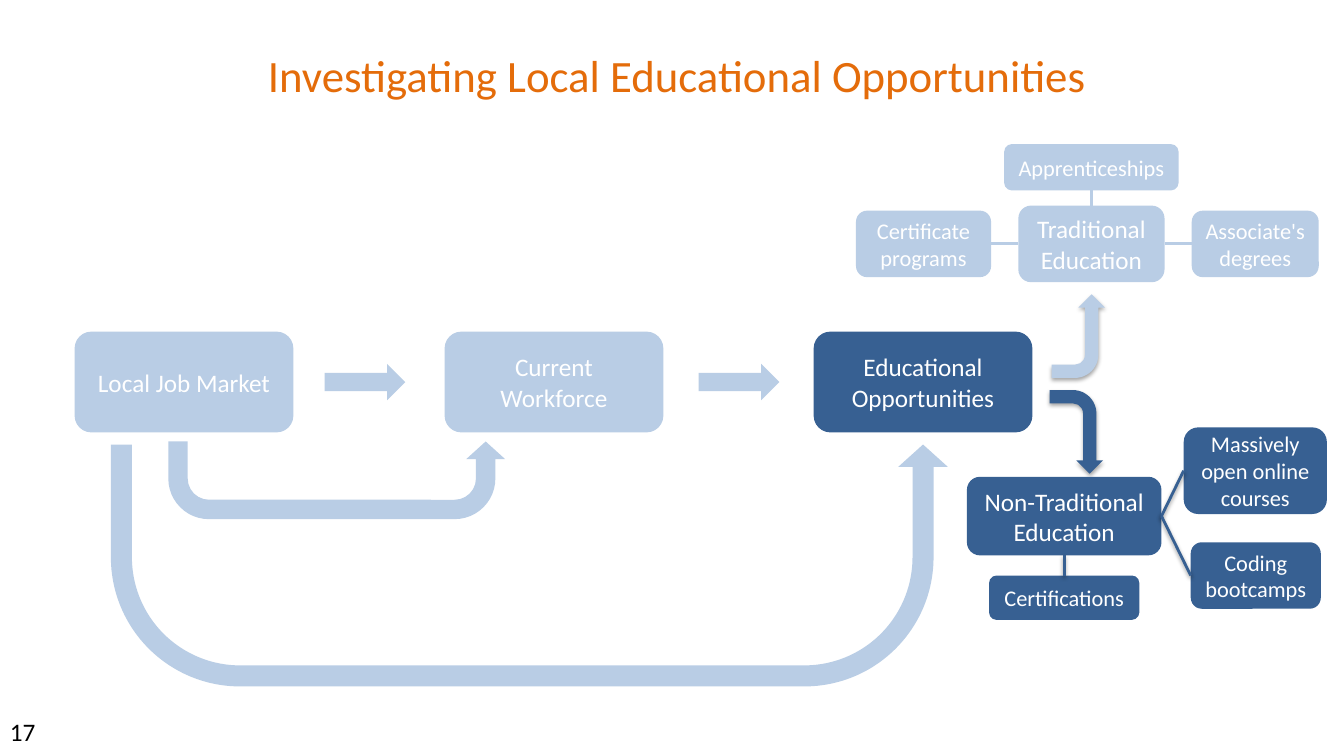
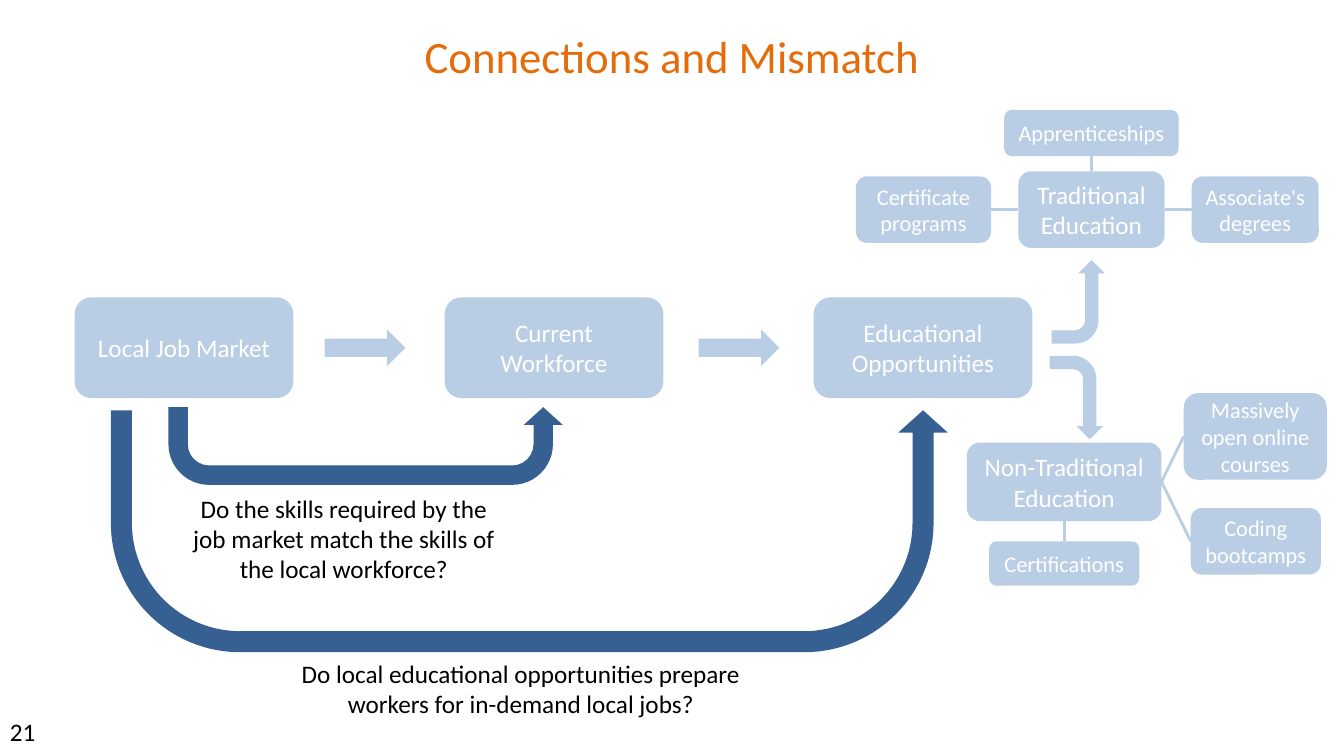
"""Build two slides that map a local job market to educational opportunities."""
from lxml import etree
from pptx import Presentation
from pptx.dml.color import RGBColor
from pptx.enum.shapes import MSO_CONNECTOR, MSO_SHAPE as Preset
from pptx.enum.text import MSO_ANCHOR as Anchor, PP_ALIGN as Align
from pptx.oxml.ns import qn
from pptx.util import Inches, Pt

PALE, DARK, ORANGE = "B9CDE5", "376092", "E46C0A"
WHITE, BLACK = "FFFFFF", "000000"
TOP, LEFT, BOTTOM, RIGHT = range(4)
INNER_BEND = (0.25, 0.25, 0.226, 0.524, 1)
OUTER_BEND = (0.087, 0.102, 0.092, 0.534, 1)

BOXES = [
    ("Local Job Market", 0.74, 3.29, 2.17, 1, 18),
    ("Current Workforce", 4.41, 3.29, 2.17, 1, 18),
    ("Educational Opportunities", 8.07, 3.29, 2.17, 1, 18),
    ("Traditional Education", 10.1, 2.04, 1.45, 0.76, 18),
    ("Apprenticeships", 9.96, 1.43, 1.73, 0.46, 16),
    ("Associate's degrees", 11.82, 2.09, 1.26, 0.66, 16),
    ("Certificate programs", 8.49, 2.09, 1.34, 0.66, 16),
    ("Non-Traditional Education", 9.59, 4.73, 1.93, 0.78, 18),
    ("Certifications", 9.81, 5.71, 1.49, 0.44, 16),
    ("Massively open online courses", 11.74, 4.24, 1.42, 0.86, 16),
    ("Coding bootcamps", 11.81, 5.38, 1.29, 0.66, 16),
]
LINKS = [
    ("Traditional Education", RIGHT, "Associate's degrees", LEFT),
    ("Traditional Education", TOP, "Apprenticeships", BOTTOM),
    ("Traditional Education", LEFT, "Certificate programs", RIGHT),
    ("Non-Traditional Education", BOTTOM, "Certifications", TOP),
    ("Non-Traditional Education", RIGHT, "Massively open online courses", LEFT),
    ("Non-Traditional Education", RIGHT, "Coding bootcamps", LEFT),
]
ARROWS = [
    ("to workforce", Preset.DOWN_ARROW, 3.44, 3.39, 0.36, 0.8, 270, None, ()),
    ("to opportunities", Preset.DOWN_ARROW, 7.15, 3.39, 0.36, 0.8, 270, None, ()),
    ("inner bend", Preset.U_TURN_ARROW, 1.67, 4.38, 3.34, 0.77, 180, "flipH", INNER_BEND),
    ("outer bend", Preset.U_TURN_ARROW, 1.1, 4.41, 8.3, 2.4, 180, "flipH", OUTER_BEND),
    ("to traditional", Preset.BENT_ARROW, 10.28, 3.07, 0.83, 0.53, 270, "flipV", ()),
    ("to non-traditional", Preset.BENT_ARROW, 10.26, 4.02, 0.83, 0.53, 90, None, ()),
]
PAGES = [
    {
        "title": "Investigating Local Educational Opportunities",
        "title_at": (0.05, 0.42),
        "number": "17",
        "shift": 0,
        "inner_width": 3.34,
        "shadows": True,
        "dark": {"Educational Opportunities", "Non-Traditional Education",
                 "Certifications", "Massively open online courses",
                 "Coding bootcamps", "to non-traditional"},
        "captions": [],
    },
    {
        "title": "Connections and Mismatch",
        "title_at": (0, 0.23),
        "number": "21",
        "shift": -0.34,
        "inner_width": 3.91,
        "shadows": False,
        "dark": {"inner bend", "outer bend"},
        "captions": [
            ("Do local educational opportunities prepare workers for in-demand local jobs?",
             2.52, 6.48, 5.29, 0.71),
            ("Do the skills required by the job market match the skills of the local workforce?",
             1.8, 4.84, 3.22, 1.01),
        ],
    },
]


def write(shape, text, size, color, align=Align.CENTER, anchor=Anchor.TOP):
    frame = shape.text_frame
    frame.text = text
    frame.word_wrap = True
    frame.vertical_anchor = anchor
    para = frame.paragraphs[0]
    para.alignment = align
    para.space_before = Pt(0)
    font = para.runs[0].font
    font.name = "Calibri"
    font.size = Pt(size)
    font.color.rgb = RGBColor.from_string(color)


def set_shadow(shape, visible, distance, opacity):
    effects = etree.SubElement(shape.element.spPr, qn("a:effectLst"))
    if visible:
        shadow = etree.SubElement(effects, qn("a:outerShdw"), blurRad=str(Pt(3.1)),
                                  dist=str(Pt(distance)), dir="5400000", rotWithShape="0")
        color = etree.SubElement(shadow, qn("a:srgbClr"), val=BLACK)
        etree.SubElement(color, qn("a:alpha"), val=str(opacity * 1000))


deck = Presentation()
deck.slide_width, deck.slide_height = Inches(13.33), Inches(7.5)

for page in PAGES:
    slide = deck.slides.add_slide(deck.slide_layouts[5])
    shapes = slide.shapes
    shift, dark = page["shift"], page["dark"]

    title = shapes.title
    title.left, title.top = [Inches(value) for value in page["title_at"]]
    title.width, title.height = Inches(13.33), Inches(0.76)
    write(title, page["title"], 32, ORANGE)

    number = shapes.add_textbox(Inches(0), Inches(7.06), Inches(3.11), Inches(0.4))
    write(number, page["number"], 18, BLACK, Align.LEFT)

    for name, preset, left, top, width, height, rotation, flip, bends in ARROWS:
        if name == "inner bend":
            width = page["inner_width"]
        arrow = shapes.add_shape(preset, Inches(left), Inches(top + shift),
                                 Inches(width), Inches(height))
        arrow.rotation = rotation
        if flip:
            arrow.element.spPr.get_or_add_xfrm().set(flip, "1")
        for index, bend in enumerate(bends):
            arrow.adjustments[index] = bend
        arrow.fill.solid()
        arrow.fill.fore_color.rgb = RGBColor.from_string(DARK if name in dark else PALE)
        arrow.line.fill.background()
        set_shadow(arrow, page["shadows"] and preset == Preset.BENT_ARROW, 1.8, 35)

    boxes = {}
    for label, left, top, width, height, size in BOXES:
        box = shapes.add_shape(Preset.ROUNDED_RECTANGLE, Inches(left), Inches(top + shift),
                               Inches(width), Inches(height))
        box.fill.solid()
        box.fill.fore_color.rgb = RGBColor.from_string(DARK if label in dark else PALE)
        box.line.fill.background()
        box.shadow.inherit = False
        write(box, label, size, WHITE, anchor=Anchor.MIDDLE)
        boxes[label] = box

    for start, start_side, end, end_side in LINKS:
        link = shapes.add_connector(MSO_CONNECTOR.STRAIGHT, 0, 0, 0, 0)
        link.begin_connect(boxes[start], start_side)
        link.end_connect(boxes[end], end_side)
        link.line.width = Pt(2)
        link.line.color.rgb = RGBColor.from_string(DARK if start in dark else PALE)
        set_shadow(link, page["shadows"] and start in dark, 1.6, 38)

    for text, left, top, width, height in page["captions"]:
        caption = shapes.add_textbox(Inches(left), Inches(top), Inches(width), Inches(height))
        write(caption, text, 18, BLACK)

deck.save("out.pptx")
